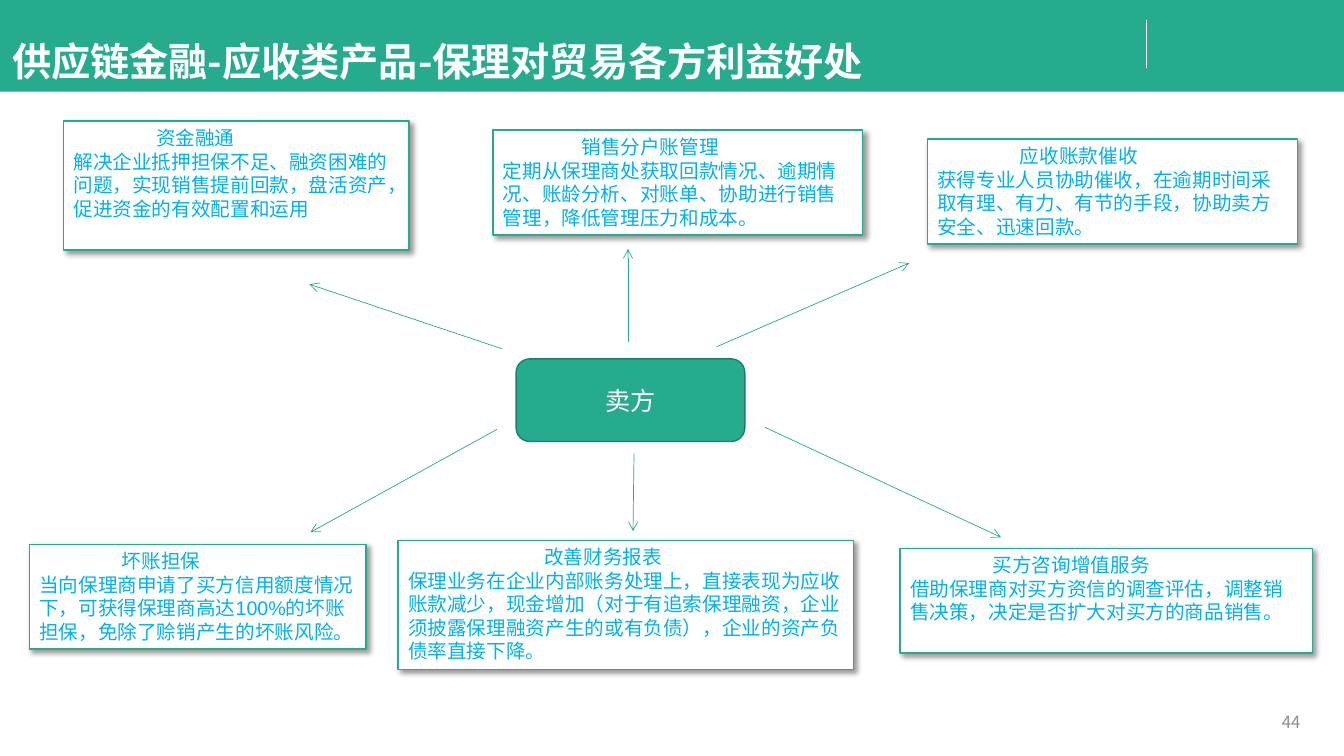
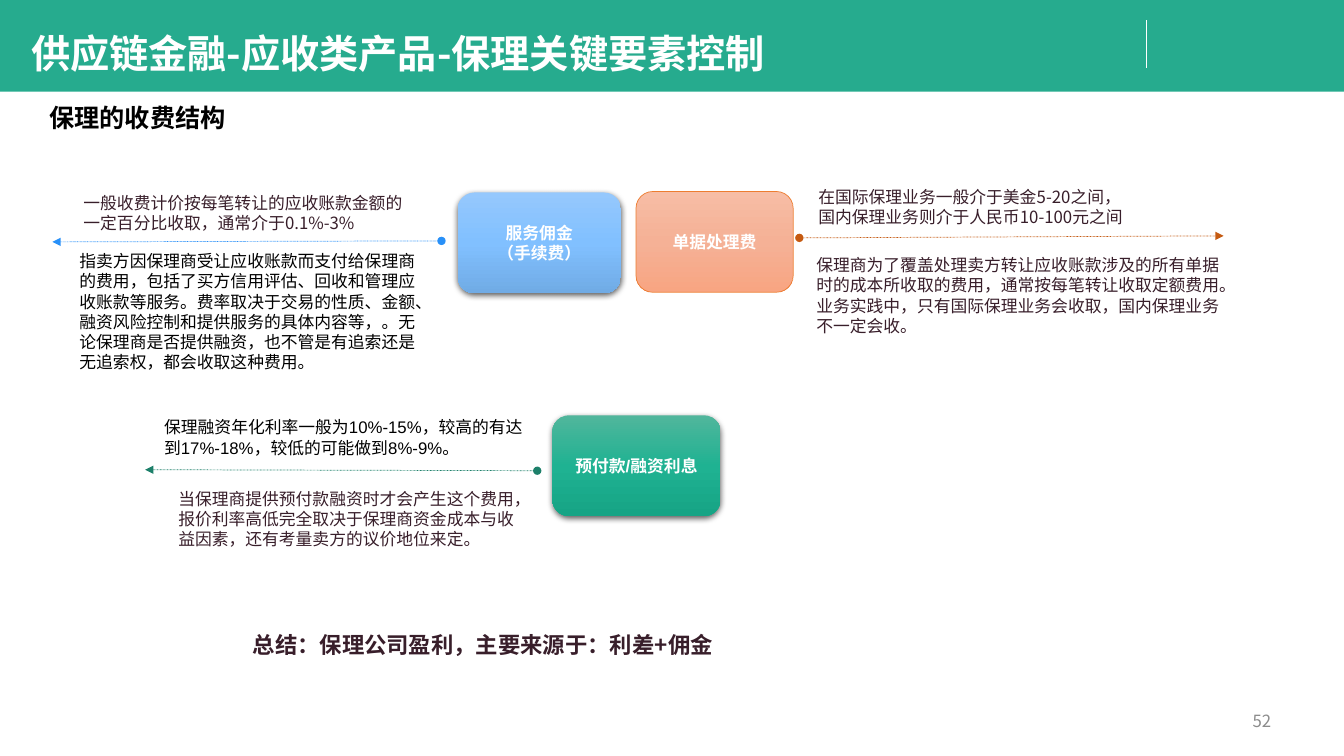
import pptx
import pptx.dml.color
import pptx.enum.dml
import pptx.enum.shapes
import pptx.enum.text
import pptx.oxml
import pptx.oxml.ns
import pptx.util

CELL = pptx.util.Inches(1) / 6
COLS, ROWS = 80, 45
BAND_H = 5.46
SANS, ARIAL = "Noto Sans CJK SC", "Arial"
GREEN, DARK_GREEN, WHITE, BLACK = "26AB8E", "1C7F69", "FFFFFF", "000000"
SKY, PLUM, GREY = "00B0F0", "381E2A", "8C8C8C"
CARD_SHADOW = (40, 4, 3, 45)
TILE_SHADOW = (63, 4.5, 1.5, 90)
SHAPE = pptx.enum.shapes.MSO_SHAPE
LEFT = pptx.enum.text.PP_ALIGN.LEFT
CENTER = pptx.enum.text.PP_ALIGN.CENTER
RIGHT = pptx.enum.text.PP_ALIGN.RIGHT
TOP = pptx.enum.text.MSO_ANCHOR.TOP
MIDDLE = pptx.enum.text.MSO_ANCHOR.MIDDLE


def cells(*values):
    """Turn grid columns or rows into EMU."""
    return [pptx.util.Emu(round(v * CELL)) for v in values]


def rgb(color):
    return pptx.dml.color.RGBColor.from_string(color)


def add_xml(parent, tag, **attrs):
    el = pptx.oxml.parse_xml(f"<a:{tag} {pptx.oxml.ns.nsdecls('a')}/>")
    for name, value in attrs.items():
        el.set(name, str(value))
    parent.append(el)
    return el


def add_color(parent, color):
    return add_xml(parent, "srgbClr", val=color)


def write(sp, text, size, color, font=SANS, bold=False, align=LEFT, anchor=TOP):
    tf = sp.text_frame
    tf.word_wrap = True
    tf.auto_size = pptx.enum.text.MSO_AUTO_SIZE.NONE
    tf.vertical_anchor = anchor
    tf.text = text
    for p in tf.paragraphs:
        p.alignment = align
        p.line_spacing = pptx.util.Pt(size * 1.2)
        for r in p.runs:
            r.font.name = font
            r.font.size = pptx.util.Pt(size)
            r.font.bold = bold
            r.font.color.rgb = rgb(color)
            add_xml(r.font._element, "ea", typeface=SANS)


def add_text(slide, box, text, size=12, color=PLUM, **style):
    sp = slide.shapes.add_textbox(*cells(*box))
    write(sp, text, size, color, **style)


def add_block(slide, kind, box, fill, line=None, width=1, shadow=None):
    """Add a shape; fill is one colour or the stops of a vertical gradient."""
    sp = slide.shapes.add_shape(kind, *cells(*box))
    if isinstance(fill, str):
        sp.fill.solid()
        sp.fill.fore_color.rgb = rgb(fill)
    else:
        sp.fill.gradient()
        sp.fill.gradient_angle = 270
        stops = sp.element.spPr.find(".//" + pptx.oxml.ns.qn("a:gsLst"))
        for stop in list(stops):
            stops.remove(stop)
        for i, color in enumerate(fill):
            add_color(add_xml(stops, "gs", pos=i * 100000 // (len(fill) - 1)), color)
    if line:
        sp.line.color.rgb = rgb(line)
        sp.line.width = pptx.util.Pt(width)
    else:
        sp.line.fill.background()
    sp.shadow.inherit = False
    if shadow:
        add_shadow(sp, *shadow)
    return sp


def add_shadow(sp, alpha, blur, dist, angle):
    effects = sp.element.spPr.find(pptx.oxml.ns.qn("a:effectLst"))
    outer = add_xml(effects, "outerShdw", blurRad=int(pptx.util.Pt(blur)),
                    dist=int(pptx.util.Pt(dist)), dir=angle * 60000,
                    algn="tl", rotWithShape=0)
    add_xml(add_color(outer, BLACK), "alpha", val=alpha * 1000)


def add_line(slide, ends, color, head=None, tail=None, dotted=False):
    cn = slide.shapes.add_connector(
        pptx.enum.shapes.MSO_CONNECTOR.STRAIGHT, *cells(*ends))
    cn.line.color.rgb = rgb(color)
    cn.line.width = pptx.util.Pt(0.5)
    if dotted:
        cn.line.dash_style = pptx.enum.dml.MSO_LINE.ROUND_DOT
    ln = cn.line._get_or_add_ln()
    for tag, kind in (("headEnd", head), ("tailEnd", tail)):
        if kind:
            add_xml(ln, tag, type=kind)
    add_xml(cn.element.spPr, "effectLst")
    return cn


def decorate_layout(layout, slide):
    """Draw the band and divider, then hand them to the shared layout."""
    for ph in list(layout.placeholders):
        if ph.placeholder_format.type != pptx.enum.shapes.PP_PLACEHOLDER.TITLE:
            ph.element.getparent().remove(ph.element)
    band = add_block(slide, SHAPE.RECTANGLE, (0, 0, COLS, BAND_H), GREEN)
    divider = add_line(slide, (68.22, 1.2, 68.22, 4.02), WHITE)
    for i, sp in enumerate((band, divider)):
        layout.shapes.element.insert(2 + i, sp.element)


def add_slide(prs, title, title_box, number, number_box):
    layout = prs.slide_layouts[5]
    first = len(prs.slides) == 0
    slide = prs.slides.add_slide(layout)
    if first:
        decorate_layout(layout, slide)
    sp = slide.shapes.title
    sp.left, sp.top, sp.width, sp.height = cells(*title_box)
    write(sp, title, 28, WHITE, bold=True, anchor=MIDDLE)
    add_text(slide, number_box, number, color=GREY, align=RIGHT, anchor=MIDDLE)
    return slide


def add_card(slide, box, heading, body, indent=4.92):
    """Add a shadowed card whose heading line is indented."""
    sp = add_block(slide, SHAPE.RECTANGLE, box, WHITE, GREEN, shadow=CARD_SHADOW)
    write(sp, heading + "\n" + body, 14, SKY, font=ARIAL)
    pPr = sp.text_frame.paragraphs[0]._p.get_or_add_pPr()
    pPr.set("marL", "0")
    pPr.set("indent", str(cells(indent)[0]))


def add_tile(slide, box, text, fill, font=ARIAL, **look):
    sp = add_block(slide, SHAPE.ROUNDED_RECTANGLE, box, fill, **look)
    write(sp, text, 12, WHITE, font=font, bold=True, align=CENTER, anchor=MIDDLE)


def build_benefits(prs):
    slide = add_slide(prs, "供应链金融-应收类产品-保理对贸易各方利益好处",
                      (0.12, 1.38, 58.56, 4.5), "44", (61.32, 42, 16.68, 1.98))
    seller = add_block(slide, SHAPE.ROUNDED_RECTANGLE, (30.72, 21.36, 13.62, 4.92),
                       GREEN, DARK_GREEN)
    write(seller, "卖方", 18, WHITE, font=ARIAL, align=CENTER, anchor=MIDDLE)
    cards = [
        ((3.78, 7.2, 20.58, 7.68), "资金融通",
         "解决企业抵押担保不足、融资困难的问题，实现销售提前回款，盘活资产，促进资金的有效配置和运用"),
        ((29.34, 7.74, 22.02, 6.24), "销售分户账管理",
         "定期从保理商处获取回款情况、逾期情况、账龄分析、对账单、协助进行销售管理，降低管理压力和成本。", 4.68),
        ((55.2, 8.28, 22.02, 6.24), "应收账款催收",
         "获得专业人员协助催收，在逾期时间采取有理、有力、有节的手段，协助卖方安全、迅速回款。"),
        ((1.74, 32.4, 20.04, 6.24), "坏账担保",
         "当向保理商申请了买方信用额度情况下，可获得保理商高达100%的坏账担保，免除了赊销产生的坏账风险。"),
        ((23.7, 32.16, 27.12, 7.68), "改善财务报表",
         "保理业务在企业内部账务处理上，直接表现为应收账款减少，现金增加（对于有追索保理融资，"
         "企业须披露保理融资产生的或有负债），企业的资产负债率直接下降。", 8.1),
        ((53.58, 32.64, 24.54, 6.24), "买方咨询增值服务",
         "借助保理商对买方资信的调查评估，调整销售决策，决定是否扩大对买方的商品销售。"),
    ]
    for card in cards:
        add_card(slide, *card)
    arrows = [
        (29.88, 20.76, 18.42, 16.92), (37.38, 20.34, 37.38, 14.82),
        (42.66, 20.64, 54.12, 15.66), (29.58, 25.56, 18.48, 31.68),
        (37.74, 27, 37.68, 31.62), (45.54, 25.44, 59.58, 31.98),
    ]
    for ends in arrows:
        add_line(slide, ends, GREEN, tail="arrow")


def build_fees(prs):
    slide = add_slide(prs, "供应链金融-应收类产品-保理关键要素控制",
                      (1.26, 1.02, 54.6, 4.26), "52", (68.76, 41.7, 7.5, 2.4))
    add_text(slide, (2.34, 5.82, 70.56, 2.4), "保理的收费结构", 18, BLACK, bold=True)

    add_tile(slide, (27.24, 11.46, 9.72, 6), "服务佣金\n（手续费）",
             ("95C8FD", "81C0FF", "70ABE5"), font=SANS, shadow=TILE_SHADOW)
    add_tile(slide, (37.86, 11.4, 9.36, 6), "单据处理费",
             ("F7BDA5", "F5B196", "F8A582"), line="ED7D31", width=0.5)
    add_tile(slide, (32.88, 24.72, 10.02, 6), "预付款/融资利息",
             ("51B69C", "1FB292", "16A485"), shadow=TILE_SHADOW)

    for ends, color in [((26.28, 14.34, 3.12, 14.4), "2890F8"),
                        ((47.58, 14.16, 72.84, 14.04), "C55A11"),
                        ((31.98, 28.02, 8.64, 27.96), "1D806A")]:
        add_line(slide, ends, color, head="oval", tail="triangle", dotted=True)

    plain = {"color": BLACK, "font": ARIAL}
    add_text(slide, (4.38, 11.16, 20.64, 3),
             "一般收费计价按每笔转让的应收账款金额的一定百分比收取，通常介于0.1%-3%")
    add_text(slide, (4.14, 14.64, 21.6, 7.86),
             "指卖方因保理商受让应收账款而支付给保理商的费用，包括了买方信用评估、回收和管理应收账款等服务。"
             "费率取决于交易的性质、金额、融资风险控制和提供服务的具体内容等，。"
             "无论保理商是否提供融资，也不管是有追索还是无追索权，都会收取这种费用。", **plain)
    add_text(slide, (48.12, 10.8, 21.06, 3),
             "在国际保理业务一般介于美金5-20之间，\n国内保理业务则介于人民币10-100元之间")
    add_text(slide, (48, 14.88, 25.68, 5.46),
             "保理商为了覆盖处理卖方转让应收账款涉及的所有单据时的成本所收取的费用，通常按每笔转让收取定额费用。"
             "业务实践中，只有国际保理业务会收取，国内保理业务不一定会收。")
    add_text(slide, (9.18, 24.54, 23.46, 3),
             "保理融资年化利率一般为10%-15%，较高的有达到17%-18%，较低的可能做到8%-9%。", **plain)
    add_text(slide, (10.02, 28.8, 21.9, 4.26),
             "当保理商提供预付款融资时才会产生这个费用，报价利率高低完全取决于保理商资金成本与收益因素，"
             "还有考量卖方的议价地位来定。")
    add_text(slide, (14.46, 37.26, 43.44, 2.22),
             "总结：保理公司盈利，主要来源于：利差+佣金", 16, bold=True)


def main():
    prs = pptx.Presentation()
    prs.slide_width, prs.slide_height = cells(COLS, ROWS)
    build_benefits(prs)
    build_fees(prs)
    prs.save("out.pptx")


if __name__ == "__main__":
    main()
